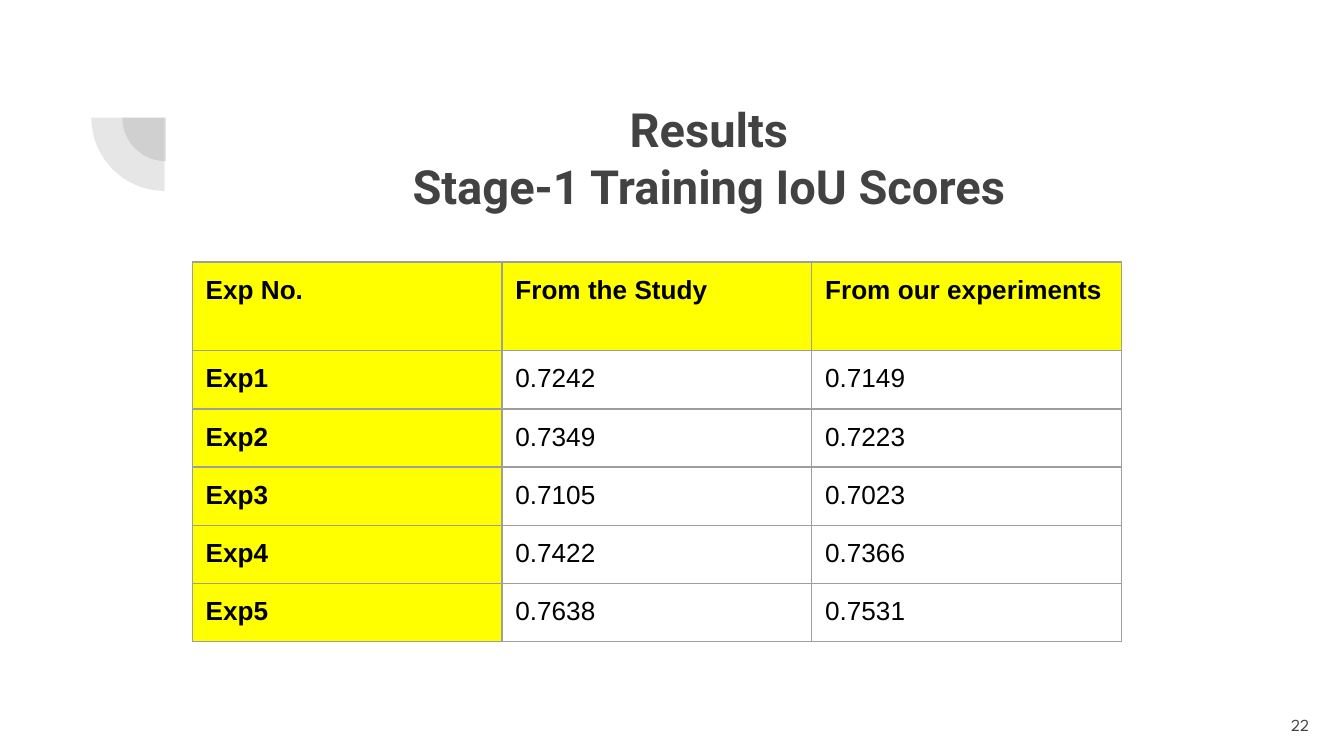
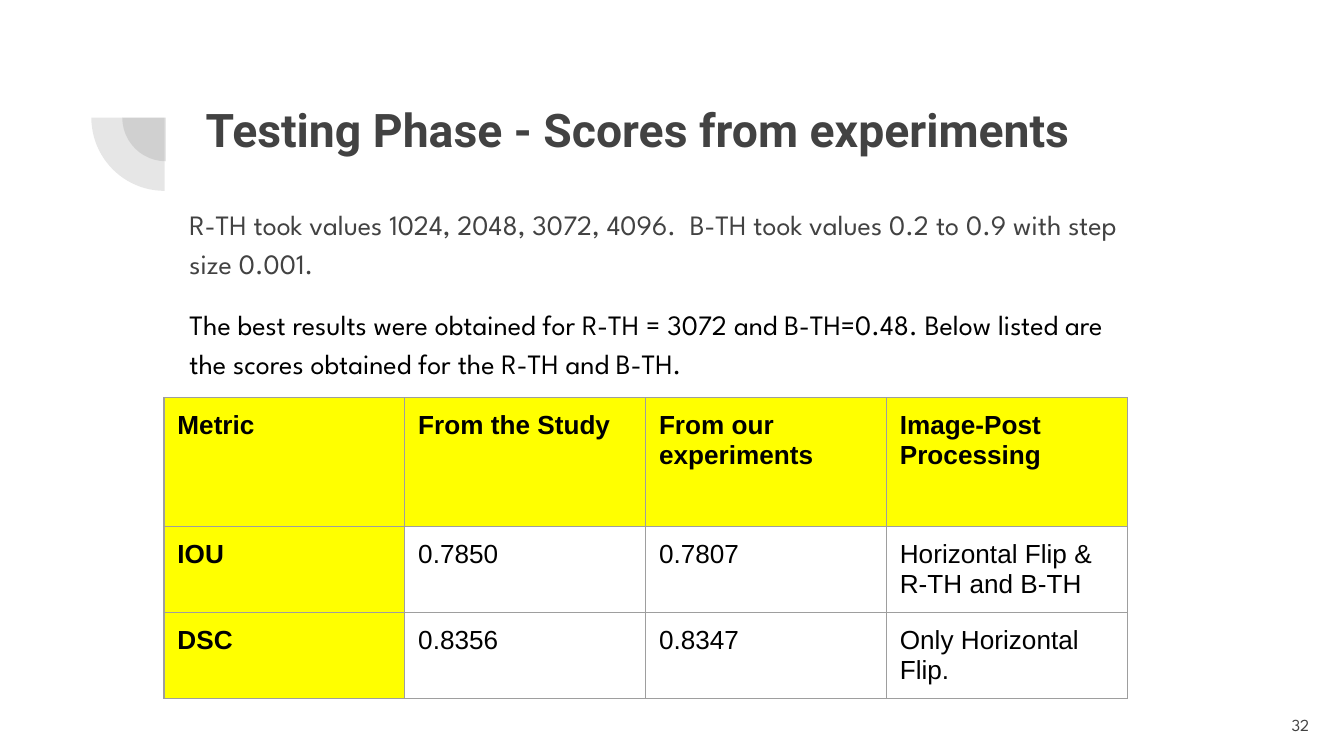
"""Build two result slides, each with a titled score table."""
from lxml.etree import SubElement
from pptx import Presentation
from pptx.dml.color import RGBColor
from pptx.enum.shapes import MSO_SHAPE as Shape
from pptx.enum.text import MSO_ANCHOR as Anchor, MSO_AUTO_SIZE as AutoSize, PP_ALIGN as Align
from pptx.oxml.ns import qn
from pptx.util import Inches, Pt

COLORS = {"ink": "424242", "black": "000000", "mark": "FFFF00", "rule": "9E9E9E", "paper": "FFFFFF"}
FRAME = {"word_wrap": True, "auto_size": AutoSize.NONE, "margin_left": Inches(0.1),
         "margin_right": Inches(0.1), "margin_top": Inches(0.1), "margin_bottom": Inches(0.1)}
TITLE = {"name": "Roboto", "bold": True}
BODY = {"name": "League Spartan", "size": Pt(15), "bold": False}
NUMBER = {"name": "League Spartan", "size": Pt(9), "bold": False}
CELL = {"name": "Arial", "size": Pt(14)}

deck = Presentation()
deck.slide_width, deck.slide_height = Inches(10), Inches(5.625)
UNIT = deck.slide_width / 100


def grid(*steps):
    """Turn steps of a hundredth of the slide width into lengths."""
    return [round(step * UNIT) for step in steps]


def write(frame, lines, font, color, anchor=Anchor.TOP, **layout):
    """Fill a text frame with evenly formatted paragraphs."""
    for key, value in {**FRAME, "vertical_anchor": anchor}.items():
        setattr(frame, key, value)
    frame.text = "\n".join(lines)
    for paragraph in frame.paragraphs:
        for key, value in layout.items():
            setattr(paragraph, key, value)
        for run in paragraph.runs:
            run.font.color.rgb = RGBColor.from_string(COLORS[color])
            for key, value in font.items():
                setattr(run.font, key, value)


PAGES = [
    {
        "layout": 5, "title": ["Results", "Stage-1 Training IoU Scores"],
        "title_size": 25.2, "title_align": Align.CENTER, "number": "22", "body": [],
        "corner": (14.3, 19.5), "column": 23.05, "rows": [6.6] + [4.33] * 5,
        "scores": [
            ["Exp No.", "From the Study", "From our experiments"],
            ["Exp1", "0.7242", "0.7149"],
            ["Exp2", "0.7349", "0.7223"],
            ["Exp3", "0.7105", "0.7023"],
            ["Exp4", "0.7422", "0.7366"],
            ["Exp5", "0.7638", "0.7531"],
        ],
    },
    {
        "layout": 1, "title": ["Testing Phase - Scores from experiments"],
        "title_size": 24.8, "title_align": Align.LEFT, "number": "32",
        "body": [
            "R-TH took values 1024, 2048, 3072, 4096.  B-TH took values 0.2 to 0.9 with step size 0.001.",
            "The best results were obtained for R-TH = 3072 and B-TH=0.48. "
            "Below listed are the scores obtained for the R-TH and B-TH.",
        ],
        "corner": (12.2, 29.6), "column": 17.92, "rows": [9.6, 6.35, 6.35],
        "scores": [
            ["Metric", "From the Study", "From our experiments", "Image-Post Processing"],
            ["IOU", "0.7850", "0.7807", "Horizontal Flip & R-TH and B-TH"],
            ["DSC", "0.8356", "0.8347", "Only Horizontal Flip."],
        ],
    },
]

for page in PAGES:
    slide = deck.slides.add_slide(deck.slide_layouts[page["layout"]])
    slide.background.fill.solid()
    slide.background.fill.fore_color.rgb = RGBColor.from_string(COLORS["paper"])

    emblem = slide.shapes.add_group_shape()
    for left, top, side in [(9.1, 5.5, 6.5), (6.8, 3.3, 10.9)]:
        arc = emblem.shapes.add_shape(Shape.PIE, *grid(left, top, side, side))
        arc.adjustments[0], arc.adjustments[1] = 108, 162
        arc.rotation = 270
        arc.shadow.inherit = False
        arc.line.fill.background()
        arc.fill.solid()
        arc.fill.fore_color.rgb = RGBColor.from_string(COLORS["ink"])
        tint = arc.fill._xPr.find(qn("a:solidFill"))[0]
        SubElement(tint, qn("a:alpha"), val="13000")

    heading = slide.shapes.title
    heading.left, heading.top, heading.width, heading.height = grid(14.3, 6.5, 76.9, 10.9)
    write(heading.text_frame, page["title"], {**TITLE, "size": Pt(page["title_size"])}, "ink",
          alignment=page["title_align"])

    number = slide.shapes.add_textbox(*grid(92.4, 51.8, 6, 4.3))
    write(number.text_frame, [page["number"]], NUMBER, "ink", Anchor.MIDDLE, alignment=Align.RIGHT)

    scores, columns = page["scores"], len(page["scores"][0])
    size = (page["column"] * columns, sum(page["rows"]))
    table = slide.shapes.add_table(len(scores), columns, *grid(*page["corner"], *size)).table
    table.first_row = table.horz_banding = False
    for column in table.columns:
        column.width = grid(page["column"])[0]
    for r, entries in enumerate(scores):
        table.rows[r].height = grid(page["rows"][r])[0]
        for c, entry in enumerate(entries):
            cell = table.cell(r, c)
            is_label = r == 0 or c == 0
            write(cell.text_frame, [entry], {**CELL, "bold": is_label}, "black")
            for side in ("left", "right", "top", "bottom"):
                setattr(cell, f"margin_{side}", Inches(0.1))
            borders = cell._tc.get_or_add_tcPr()
            for edge in ("a:lnL", "a:lnR", "a:lnT", "a:lnB"):
                line = SubElement(borders, qn(edge), w=str(Pt(0.75)))
                SubElement(SubElement(line, qn("a:solidFill")), qn("a:srgbClr"), val=COLORS["rule"])
            if is_label:
                cell.fill.solid()
                cell.fill.fore_color.rgb = RGBColor.from_string(COLORS["mark"])
            else:
                cell.fill.background()

    if page["body"]:
        notes = slide.placeholders[1]
        notes.left, notes.top, notes.width, notes.height = grid(8.1, 14.1, 77.2, 24.3)
        write(notes.text_frame, page["body"], BODY, "ink", line_spacing=1.15, space_before=Pt(0))
        for paragraph in notes.text_frame.paragraphs:
            props = paragraph._p.get_or_add_pPr()
            props.set("marL", str(Inches(0.5)))
            props.set("indent", "0")
            SubElement(props, qn("a:buNone"))
        closing = notes.text_frame.paragraphs[-1]
        closing.space_before = Pt(12)
        closing.runs[0].font.color.rgb = RGBColor.from_string(COLORS["black"])

deck.save("out.pptx")
